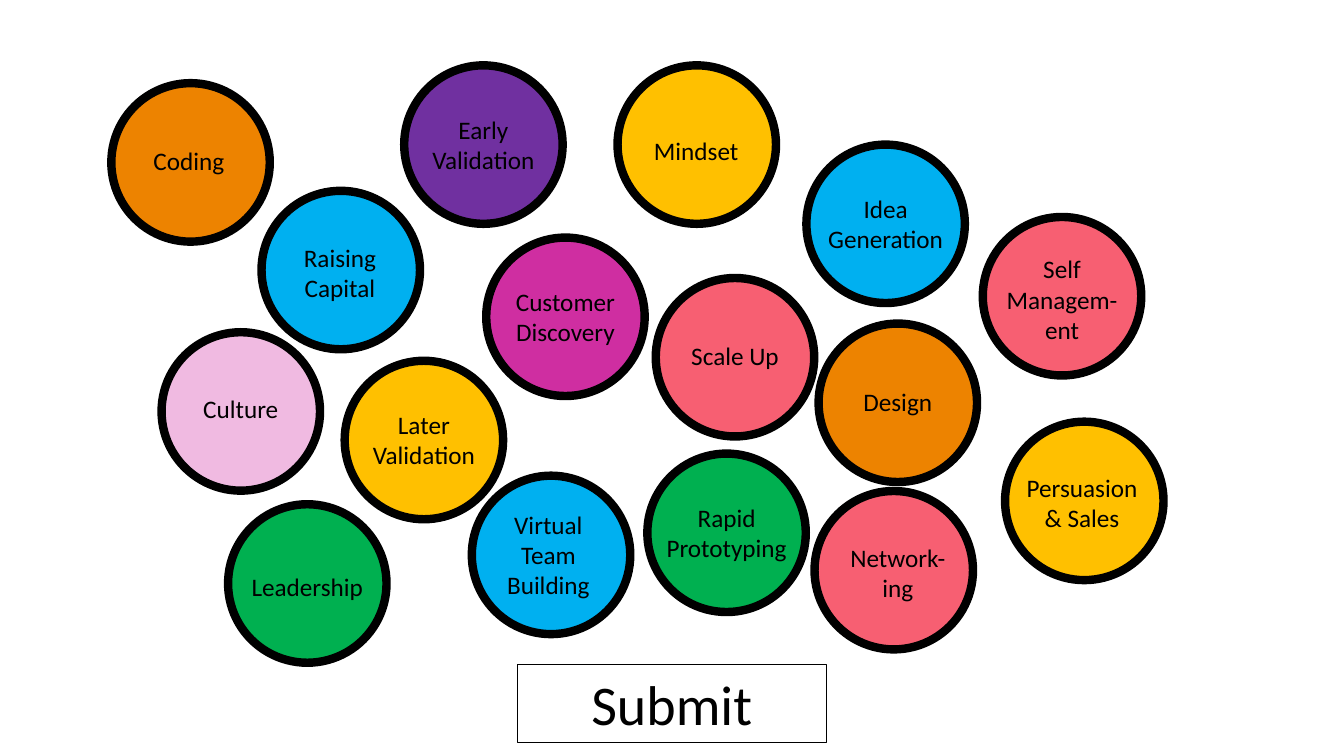
import pptx
import pptx.util
import pptx.dml.color
import pptx.enum.shapes
import pptx.enum.text

Pt = pptx.util.Pt
SHAPE = pptx.enum.shapes.MSO_SHAPE

ORANGE, BLUE, GREEN, YELLOW = "ED8300", "00B0F0", "00B050", "FFC000"
CORAL, PURPLE, MAGENTA, PINK = "F75F72", "7030A0", "CF2EA1", "F0BAE1"
BLACK = "000000"
DIAMETER = 113.2
NARROW, MEDIUM, WIDE = 89.3, 97.2, 101.5
PLAIN, FILLED = False, True

# topic, fill, circle left and top, label width, lines, shift from centre, label fill
TOPICS = [
    ("Customer Discovery", MAGENTA, 347.3, 169.7, NARROW, 2, 0, 0, PLAIN),
    ("Early Validation", PURPLE, 288.7, 46.7, NARROW, 2, 0, 0, PLAIN),
    ("Idea Generation", BLUE, 576, 103.3, WIDE, 2, 0, 0.3, FILLED),
    ("Rapid Prototyping", GREEN, 462.4, 324, WIDE, 2, 0, 0, FILLED),
    ("Later Validation", YELLOW, 246.2, 257.7, NARROW, 2, 0, 0, PLAIN),
    ("Scale Up", CORAL, 468.4, 198.6, NARROW, 1, 0, -1, FILLED),
    ("Coding", ORANGE, 79.5, 59.4, NARROW, 1, -1.2, -1, FILLED),
    ("Design", ORANGE, 584.7, 231.1, NARROW, 1, 0, -0.5, FILLED),
    ("Mindset", YELLOW, 441.1, 46.7, NARROW, 1, -0.4, 4, PLAIN),
    ("Leadership", GREEN, 162.9, 360.2, WIDE, 1, 0, 2, FILLED),
    ("Virtual Team Building", BLUE, 337, 339.8, WIDE, 3, -1.9, 0.2, PLAIN),
    ("Culture", PINK, 115.4, 237.3, NARROW, 1, 0, -1.7, PLAIN),
    ("Self Managem-ent", CORAL, 702, 155, MEDIUM, 3, 0, 2.5, PLAIN),
    ("Persuasion & Sales", YELLOW, 717.9, 301.2, WIDE, 2, -1.6, 1.6, PLAIN),
    ("Network-ing", CORAL, 581.8, 350.7, NARROW, 2, 3, 2, FILLED),
    ("Raising Capital", BLUE, 186.8, 136.3, WIDE, 2, -0.6, 2.2, FILLED),
]
SUBMIT = ("Submit", 369.4, 475, 220.7, 55.4)


def rgb(value):
    """Turn a hex string into a colour."""
    return pptx.dml.color.RGBColor.from_string(value)


def add_shape(s, kind, left, top, width, height, fill=None, line_width=0):
    """Add a shape with an optional fill and an optional black outline."""
    sp = s.shapes.add_shape(kind, Pt(left), Pt(top), Pt(width), Pt(height))
    sp.shadow.inherit = False
    if fill:
        sp.fill.solid()
        sp.fill.fore_color.rgb = rgb(fill)
    else:
        sp.fill.background()
    if line_width:
        sp.line.color.rgb = rgb(BLACK)
        sp.line.width = Pt(line_width)
    else:
        sp.line.fill.background()
    return sp


def write(sp, text, size):
    """Write centred black text in a shape."""
    tf = sp.text_frame
    tf.word_wrap = True
    tf.vertical_anchor = pptx.enum.text.MSO_ANCHOR.TOP
    p = tf.paragraphs[0]
    p.alignment = pptx.enum.text.PP_ALIGN.CENTER
    r = p.add_run()
    r.text = text
    r.font.name = "Calibri"
    r.font.size = Pt(size)
    r.font.color.rgb = rgb(BLACK)


def add_topic(s, topic, fill, left, top, width, lines, dx, dy, filled):
    """Add a disc, its label, and the ring that covers the label's corners."""
    circle = (left, top, DIAMETER, DIAMETER)
    add_shape(s, SHAPE.OVAL, *circle, fill=fill)
    height = 7 + 22 * lines
    box = (left + (DIAMETER - width) / 2 + dx,
           top + (DIAMETER - height) / 2 + dy, width, height)
    if filled:
        label = add_shape(s, SHAPE.RECTANGLE, *box, fill=fill)
    else:
        label = s.shapes.add_textbox(*map(Pt, box))
    write(label, topic, 18)
    add_shape(s, SHAPE.OVAL, *circle, line_width=6)


prs = pptx.Presentation()
prs.slide_width, prs.slide_height = Pt(960), Pt(540)
s = prs.slides.add_slide(prs.slide_layouts[6])
for topic in TOPICS:
    add_topic(s, *topic)
caption, *box = SUBMIT
write(add_shape(s, SHAPE.RECTANGLE, *box, line_width=0.75), caption, 40)
prs.save("out.pptx")
